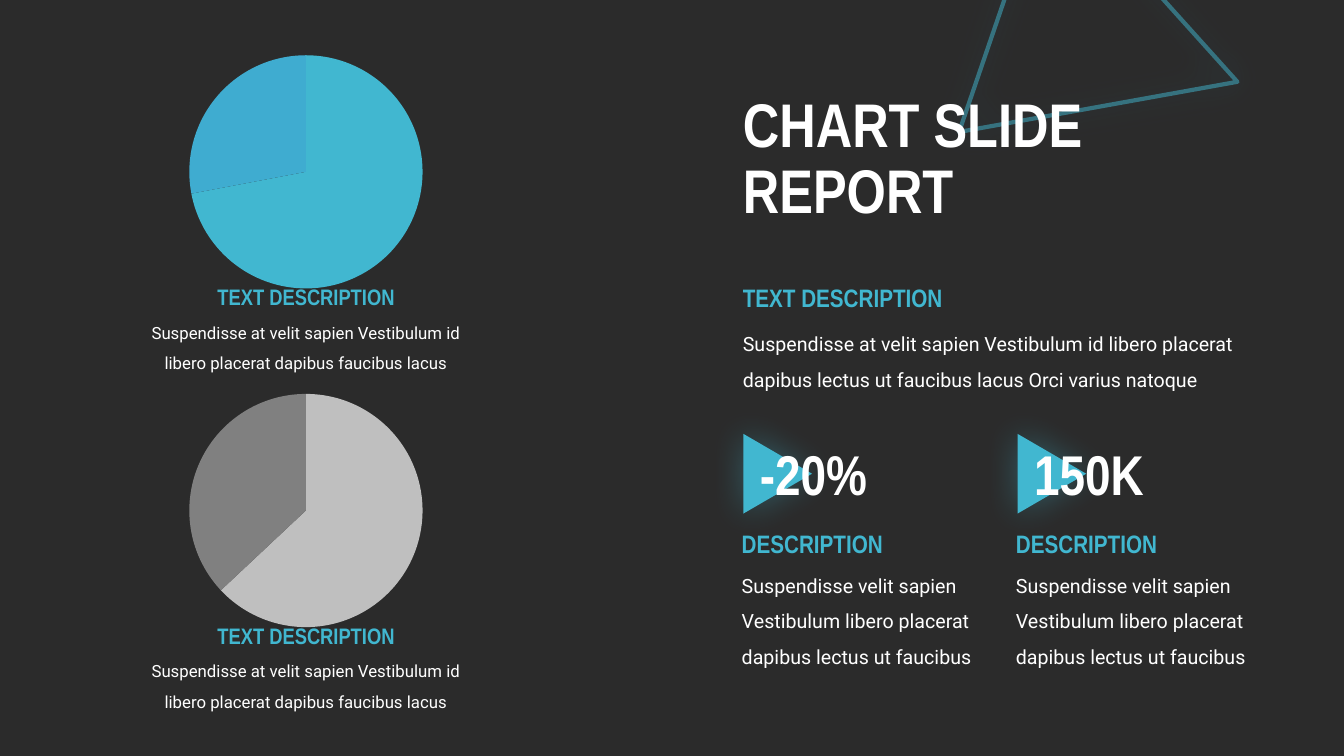
"""Build the chart report slide with two pies and two key figures."""
from dataclasses import dataclass

from lxml import etree
from pptx import Presentation
from pptx import util as u
from pptx.chart import data as chart_data
from pptx.dml.color import RGBColor
from pptx.enum import chart as ch, shapes, text
from pptx.oxml import ns

WIDTH, HEIGHT = u.Inches(13.33), u.Inches(7.5)


@dataclass(frozen=True)
class Theme:
    """Colours, fonts and text formats of the slide."""

    dark: str = "2B2B2B"
    accent: str = "41B7D0"
    white: str = "FFFFFF"
    blue_slices: tuple = (accent, "3FACD0")
    grey_slices: tuple = ("BFBFBF", "808080")
    title: tuple = ("Arial Narrow", 44, True, white)
    figure: tuple = ("Arial Narrow", 40, True, white)
    heading: tuple = ("Arial Narrow", 18, True, accent)
    caption_heading: tuple = ("Arial Narrow", 16, True, accent)
    body: tuple = ("Roboto", 14, False, white)
    caption: tuple = ("Roboto", 12, False, white)
    chart: tuple = ("Roboto", 10, False, white)


THEME = Theme()


def area(left, top, width, height):
    """Turn percentages of the slide into a position and size."""
    return [int(share * side / 100) for share, side in
            zip((left, top, width, height), (WIDTH, HEIGHT) * 2)]


def assign(target, **values):
    """Set every given attribute on the target."""
    for name, value in values.items():
        setattr(target, name, value)


def style_font(font, style):
    """Apply one theme text style to a font."""
    name, size, bold, color = style
    assign(font, name=name, size=u.Pt(size), bold=bold)
    font.color.rgb = RGBColor.from_string(color)


def paint(fill, color):
    """Give a fill one solid colour."""
    fill.solid()
    fill.fore_color.rgb = RGBColor.from_string(color)


def set_alpha(fill_holder, percent):
    """Make the solid colour inside an element partly transparent."""
    color = fill_holder.find(".//" + ns.qn("a:srgbClr"))
    etree.SubElement(color, ns.qn("a:alpha"), val=str(percent * 1000))


def add_glow(shape):
    """Surround a shape with a soft accent shadow."""
    shape.shadow.inherit = False
    effects = shape._element.spPr.find(ns.qn("a:effectLst"))
    shadow = etree.SubElement(effects, ns.qn("a:outerShdw"), blurRad=str(u.Pt(25)),
                              dist="0", dir="0", algn="ctr", rotWithShape="0")
    etree.SubElement(shadow, ns.qn("a:srgbClr"), val=THEME.accent)
    set_alpha(shadow, 35)


def add_panel(slide):
    """Add the translucent panel behind the charts."""
    panel = slide.shapes.add_shape(shapes.MSO_SHAPE.RECTANGLE, *area(0, 0, 45.54, 100))
    panel.shadow.inherit = False
    panel.line.fill.background()
    paint(panel.fill, THEME.dark)
    set_alpha(panel._element.spPr, 90)


def add_triangle(slide, box, rotation, outlined=False):
    """Add a glowing triangle, either outlined or filled."""
    triangle = slide.shapes.add_shape(shapes.MSO_SHAPE.ISOSCELES_TRIANGLE, *area(*box))
    triangle.rotation = rotation
    if outlined:
        triangle.fill.background()
        triangle.line.width = u.Pt(3)
        paint(triangle.line.fill, THEME.accent)
        set_alpha(triangle.line._ln, 50)
    else:
        paint(triangle.fill, THEME.accent)
        triangle.line.fill.background()
    add_glow(triangle)


def add_title(slide, lines):
    """Place the title in front of the outlined triangle."""
    title = slide.shapes.title
    assign(title, **dict(zip(("left", "top", "width", "height"),
                             area(54.53, 10.67, 42.15, 21.07))))
    assign(title.text_frame, text="\v".join(lines), word_wrap=True,
           auto_size=text.MSO_AUTO_SIZE.NONE, vertical_anchor=text.MSO_ANCHOR.MIDDLE)
    paragraph = title.text_frame.paragraphs[0]
    assign(paragraph, alignment=text.PP_ALIGN.LEFT, line_spacing=0.9)
    for run in paragraph.runs:
        style_font(run.font, THEME.title)
    slide.shapes._spTree.append(title._element)


def add_text(slide, box, words, style, spacing=None, align=text.PP_ALIGN.LEFT):
    """Add a wrapping text box in one theme style."""
    frame = slide.shapes.add_textbox(*area(*box)).text_frame
    assign(frame, text=words, word_wrap=True,
           auto_size=text.MSO_AUTO_SIZE.SHAPE_TO_FIT_TEXT)
    paragraph = frame.paragraphs[0]
    assign(paragraph, alignment=align, line_spacing=spacing)
    style_font(paragraph.runs[0].font, style)


def add_pie(slide, box, shares, colors):
    """Add a pie chart with one colour per slice."""
    figures = chart_data.CategoryChartData()
    figures.categories = ["1", "2"]
    figures.add_series("Series 1", shares)
    pie = slide.shapes.add_chart(ch.XL_CHART_TYPE.PIE, *area(*box), figures).chart
    assign(pie, has_legend=False, has_title=False)
    style_font(pie.font, THEME.chart)
    pie.plots[0].vary_by_categories = True
    for index, color in enumerate(colors):
        wedge = pie.plots[0].series[0].points[index].format
        paint(wedge.fill, color)
        wedge.line.fill.background()


def add_pie_block(slide, row, shares, colors):
    """Add one pie with its centred heading and caption."""
    top = 5.47 + 44.8 * row
    add_pie(slide, (9.75, top, 26.03, 34.53), shares, colors)
    add_text(slide, (9.75, top + 35.2, 26.03, 8.93),
             "Suspendisse at velit sapien Vestibulum id libero placerat dapibus faucibus lacus",
             THEME.caption, 1.5, text.PP_ALIGN.CENTER)
    add_text(slide, (13.58, top + 31.33, 18.38, 4.93), "TEXT DESCRIPTION",
             THEME.caption_heading, align=text.PP_ALIGN.CENTER)


def add_key_figure(slide, column, figure):
    """Add one key figure with its marker, heading and description."""
    left = 54.45 + 20.4 * column
    add_triangle(slide, (left + 0.45, 58.13, 5.93, 9.07), 90)
    add_text(slide, (left, 73.73, 21.08, 14.93),
             "Suspendisse velit sapien Vestibulum libero placerat dapibus lectus ut faucibus",
             THEME.body, 1.5)
    add_text(slide, (left, 69.2, 18.38, 5.33), "DESCRIPTION", THEME.heading)
    add_text(slide, (left + 1.35, 57.47, 13.43, 10.27), figure, THEME.figure)


def main():
    """Build the slide and save it."""
    deck = Presentation()
    assign(deck, slide_width=WIDTH, slide_height=HEIGHT)
    slide = deck.slides.add_slide(deck.slide_layouts[0])
    paint(slide.background.fill, THEME.dark)
    subtitle = slide.placeholders[1]._element
    subtitle.getparent().remove(subtitle)

    add_panel(slide)
    add_triangle(slide, (73.13, -10.8, 20.48, 32.67), 108.9, outlined=True)
    add_title(slide, ("CHART SLIDE", "REPORT"))
    pies = (((72, 28), THEME.blue_slices), ((63, 37), THEME.grey_slices))
    for row, (shares, colors) in enumerate(pies):
        add_pie_block(slide, row, shares, colors)
    add_text(slide, (54.53, 41.73, 38.48, 10.27),
             "Suspendisse at velit sapien Vestibulum id libero placerat "
             "dapibus lectus ut faucibus lacus Orci varius natoque", THEME.body, 1.5)
    add_text(slide, (54.53, 36.67, 18.38, 5.33), "TEXT DESCRIPTION", THEME.heading)
    for column, figure in enumerate(("-20%", "150K")):
        add_key_figure(slide, column, figure)
    deck.save("out.pptx")


if __name__ == "__main__":
    main()
